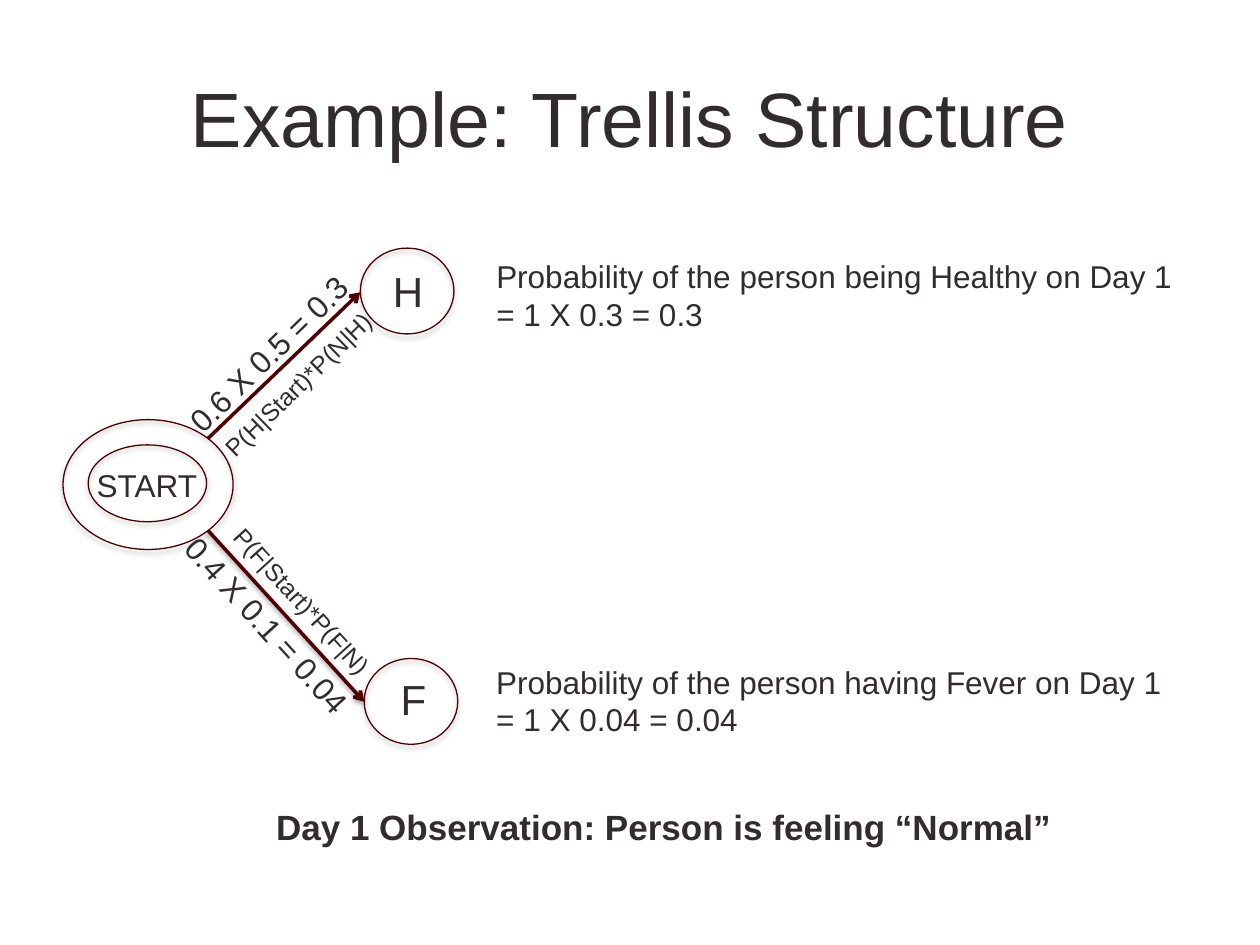
from lxml.etree import SubElement
from pptx import Presentation
from pptx.dml.color import RGBColor
from pptx.enum.shapes import MSO_CONNECTOR as Connector, MSO_SHAPE as Shape
from pptx.enum.text import MSO_ANCHOR as Anchor, MSO_AUTO_SIZE as AutoSize, PP_ALIGN as Align
from pptx.oxml.ns import qn
from pptx.util import Pt

INK, MAROON, ARROW = "332C2C", "4E0000", "500000"
TITLE = "Example: Trellis Structure"
OBSERVATION = "Day 1 Observation: Person is feeling “Normal”"
START_RINGS = [(50.4, 254.2, 67.7, 43.9), (36, 239.8, 97.2, 74.2)]
STATE_SIZE = (53.5, 49)
BRANCHES = [
    {
        "state": ("H", (205.9, 141.8), (217.4, 148.3, 32.4, 36)),
        "value": ("0.6 X 0.5 = 0.3", (87.1, 187.2, 133.2, 28.8)),
        "formula": ("P(H|Start)*P(N|H)", (108, 207.4, 125.3, 24.5)),
        "angle": 315.7,
        "result": (["Probability of the person being Healthy on Day 1", "= 1 X 0.3 = 0.3"],
                   (276.5, 143.3, 404.6, 51.1)),
        "arrow": (118.8, 250.6, 205.9, 167),
        "shadow": None,
    },
    {
        "state": ("F", (208.1, 376.3), (221.8, 381.6, 29.5, 36)),
        "value": ("0.4 X 0.1 = 0.04", (81.4, 343.4, 143.3, 28.8)),
        "formula": ("P(F|Start)*P(F|N)", (111.6, 331.9, 122.4, 24.5)),
        "angle": 47.7,
        "result": (["Probability of the person having Fever on Day 1", "= 1 X 0.04 = 0.04"],
                   (276.5, 375.1, 398.2, 51.1)),
        "arrow": (118.8, 303.1, 208.1, 401),
        "shadow": (1.6, 38),
    },
]


def color(value):
    return RGBColor.from_string(value)


def points(lengths):
    return [Pt(length) for length in lengths]


def write(frame, lines, size=18, bold=False, align=Align.LEFT):
    for index, line in enumerate(lines):
        paragraph = frame.paragraphs[0] if index == 0 else frame.add_paragraph()
        paragraph.alignment = align
        run = paragraph.add_run()
        run.text = line
        run.font.name = "Arial"
        run.font.size = Pt(size)
        run.font.bold = bold
        run.font.color.rgb = color(INK)


def add_label(slide, lines, box, angle=0, **text_format):
    label = slide.shapes.add_textbox(*points(box))
    label.rotation = angle
    label.text_frame.word_wrap = False
    label.text_frame.auto_size = AutoSize.SHAPE_TO_FIT_TEXT
    write(label.text_frame, lines, **text_format)


def set_shadow(properties, distance, opacity):
    effects = properties.find(qn("a:effectLst"))
    shadow = SubElement(effects, qn("a:outerShdw"), blurRad=str(Pt(3.1)),
                        dist=str(Pt(distance)), dir="5400000", rotWithShape="0")
    black = SubElement(shadow, qn("a:srgbClr"), val="000000")
    SubElement(black, qn("a:alpha"), val=str(opacity * 1000))


def add_ring(slide, box):
    ring = slide.shapes.add_shape(Shape.OVAL, *points(box))
    ring.fill.background()
    ring.line.color.rgb = color(MAROON)
    ring.line.width = Pt(0.75)
    ring.shadow.inherit = False
    set_shadow(ring._element.spPr, 1.8, 35)


def add_arrow(slide, ends, shadow):
    arrow = slide.shapes.add_connector(Connector.STRAIGHT, *points(ends))
    arrow.line.color.rgb = color(ARROW)
    arrow.line.width = Pt(2)
    properties = arrow._element.spPr
    SubElement(properties.find(qn("a:ln")), qn("a:tailEnd"), type="arrow")
    SubElement(properties, qn("a:effectLst"))
    if shadow:
        set_shadow(properties, *shadow)


def main():
    deck = Presentation()
    deck.slide_width, deck.slide_height = Pt(720), Pt(540)
    slide = deck.slides.add_slide(deck.slide_layouts[5])

    title = slide.shapes.title
    title.left, title.top, title.width, title.height = points((36, 21.6, 648, 90))
    title.text_frame.vertical_anchor = Anchor.MIDDLE
    write(title.text_frame, [TITLE], size=44, align=Align.CENTER)

    for ring in START_RINGS:
        add_ring(slide, ring)
    add_label(slide, ["START"], (48.2, 262.8, 72.7, 28.8))

    for branch in BRANCHES:
        state, corner, state_box = branch["state"]
        add_ring(slide, corner + STATE_SIZE)
        add_label(slide, [state], state_box, size=24)
        for part, size in (("value", 18), ("formula", 14)):
            text, box = branch[part]
            add_label(slide, [text], box, angle=branch["angle"], size=size)
        add_label(slide, *branch["result"])
        add_arrow(slide, branch["arrow"], branch["shadow"])

    add_label(slide, [OBSERVATION], (149, 456.5, 460.8, 31.7),
              size=20, bold=True, align=Align.CENTER)
    deck.save("out.pptx")


if __name__ == "__main__":
    main()
